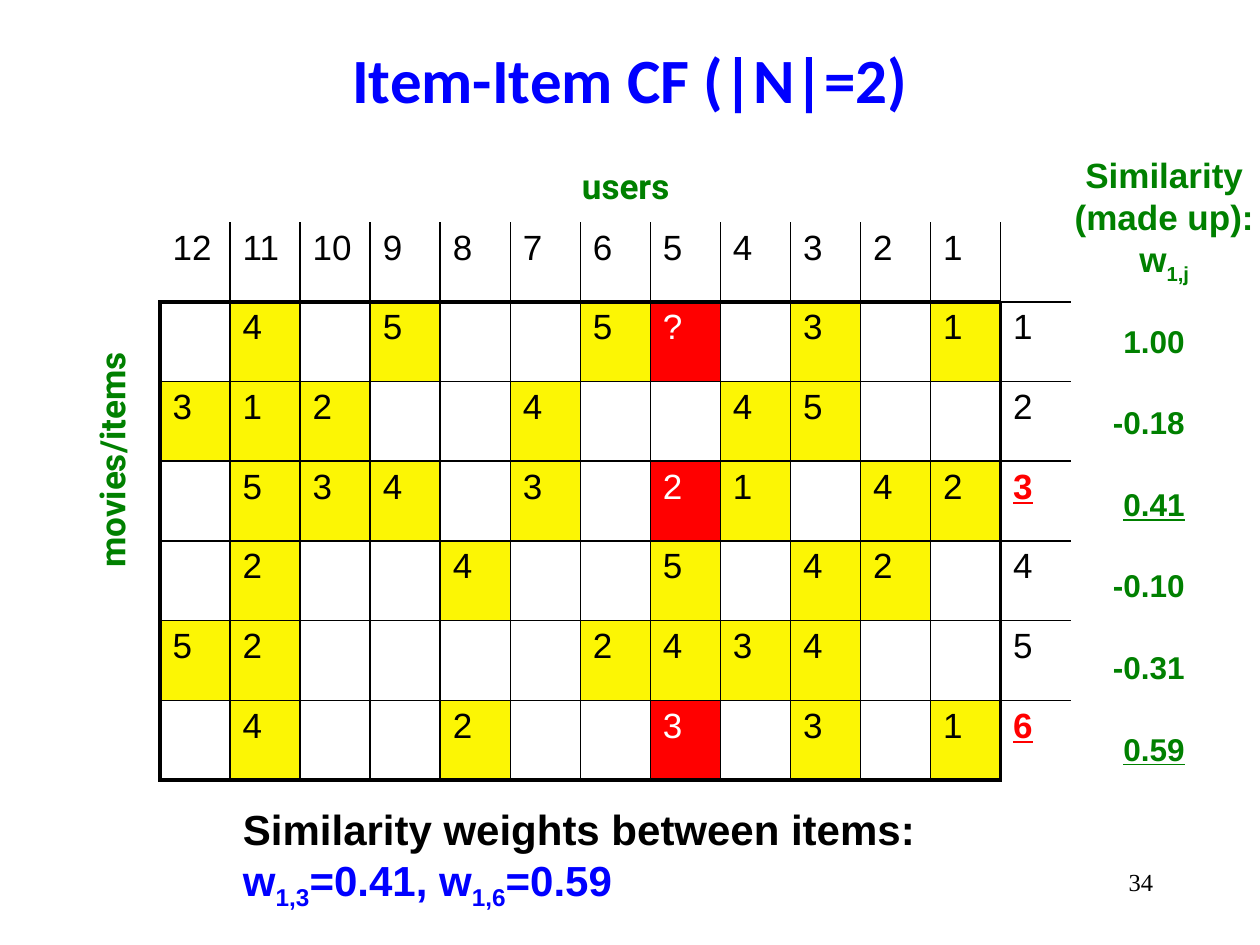
"""Build the item-item collaborative filtering slide."""
from dataclasses import dataclass, field
from typing import Any

from lxml.etree import SubElement
from pptx import Presentation
from pptx.dml.color import RGBColor
from pptx.enum.text import MSO_ANCHOR as Anchor, PP_ALIGN as Align
from pptx.oxml.ns import qn
from pptx.util import Emu, Inches, Pt

WIDTH, HEIGHT = Inches(10), Inches(7.5)
COLUMN, ROW = 0.0556, 0.0844
GRID_LEFT, GRID_TOP = 0.127, 0.235
BLACK, WHITE, BLUE, GREEN, RED, YELLOW = "000000", "FFFFFF", "0000FF", "008000", "FF0000", "FCF604"
THIN, THICK = 1, 2.25
USERS, ITEMS = 12, 6
QUERY_USER = 5
NEIGHBOURS = (3, 6)
RATINGS = (
    ".4.5..5?.3.1",
    "312..4..45..",
    ".534.3.21.42",
    ".2..4..5.42.",
    "52....2434..",
    ".4..2..3.3.1",
)
WEIGHTS = ("1.00", "-0.18", "0.41", "-0.10", "-0.31", "0.59")


@dataclass
class Span:
    """A stretch of text with its own format."""
    text: str
    format: dict[str, Any] = field(default_factory=dict)
    subscript: bool = False


@dataclass
class Label:
    """A text box placed by shares of the slide."""
    box: tuple[float, float, float, float]
    format: dict[str, Any]
    paragraphs: list[list[Span]]
    align: Any = Align.LEFT
    rotation: int = 0
    gap: float = 0


def color(value: str) -> RGBColor:
    """Turn a hex string into a colour."""
    return RGBColor.from_string(value)


def style(name: str, size: float, rgb: str, bold: bool = False, underline: bool = False) -> dict[str, Any]:
    """Collect font values."""
    return {"name": name, "size": Pt(size), "rgb": rgb, "bold": bold, "underline": underline}


def apply_format(font: Any, values: dict[str, Any]) -> None:
    """Set font attributes from a dict."""
    for key, value in values.items():
        if key == "rgb":
            font.color.rgb = color(value)
        else:
            setattr(font, key, value)


def place(shape: Any, box: tuple[float, float, float, float]) -> None:
    """Position a shape by shares of the slide."""
    for key, share, whole in zip(("left", "top", "width", "height"), box, (WIDTH, HEIGHT) * 2):
        setattr(shape, key, Emu(round(share * whole)))


def write(paragraph: Any, spans: list[Span], base: dict[str, Any]) -> None:
    """Fill a paragraph with formatted runs."""
    for span in spans:
        if span.text == "\n":
            paragraph.add_line_break()
            continue
        run = paragraph.add_run()
        run.text = span.text
        apply_format(run.font, base | span.format)
        if span.subscript:
            run._r.get_or_add_rPr().set("baseline", "-25000")


def draw_label(slide: Any, label: Label) -> None:
    """Draw one text box."""
    shape = slide.shapes.add_textbox(0, 0, 0, 0)
    place(shape, label.box)
    shape.rotation = label.rotation
    frame = shape.text_frame
    frame.word_wrap = True
    for index, spans in enumerate(label.paragraphs):
        paragraph = frame.add_paragraph() if index else frame.paragraphs[0]
        paragraph.alignment = label.align
        if index and label.gap:
            paragraph.space_before = Pt(label.gap)
        write(paragraph, spans, label.format)


def vertical_weight(edge: int, row: int) -> float:
    """Give the line width left of column number edge."""
    if edge > USERS or (edge == 0 and row == 0):
        return 0
    return THICK if row and edge in (0, USERS) else THIN


def horizontal_weight(edge: int, column: int) -> float:
    """Give the line width above row number edge."""
    if edge == 0 or (edge > ITEMS and column == USERS):
        return 0
    return THICK if edge in (1, ITEMS + 1) and column < USERS else THIN


def draw_border(cell: Any, side: str, weight: float) -> None:
    """Draw one cell border, or clear it at zero width."""
    line = SubElement(cell._tc.get_or_add_tcPr(), qn(f"a:ln{side}"), w=str(Pt(weight)))
    if weight:
        SubElement(SubElement(line, qn("a:solidFill")), qn("a:srgbClr"), val=BLACK)
    else:
        SubElement(line, qn("a:noFill"))


def cell_look(row: int, column: int) -> tuple[str, str, dict[str, Any]]:
    """Give a cell's text, fill and font values."""
    plain = style("Arial", 20, BLACK)
    if row == 0:
        return (str(USERS - column) if column < USERS else ""), "", plain
    if column == USERS:
        return str(row), "", style("Arial", 20, RED, True, True) if row in NEIGHBOURS else plain
    text = RATINGS[row - 1][column].replace(".", "")
    if text and USERS - column == QUERY_USER and row in (1, *NEIGHBOURS):
        return text, RED, style("Arial", 20, WHITE)
    return text, YELLOW if text else "", plain


def draw_ratings(slide: Any) -> None:
    """Draw the table of ratings."""
    rows, columns = ITEMS + 1, USERS + 1
    shape = slide.shapes.add_table(rows, columns, 0, 0, WIDTH, HEIGHT)
    table = shape.table
    for line in table.columns:
        line.width = Emu(round(COLUMN * WIDTH))
    for line in table.rows:
        line.height = Emu(round(ROW * HEIGHT))
    place(shape, (GRID_LEFT, GRID_TOP, COLUMN * columns, ROW * rows))
    table.first_row = table.horz_banding = False
    for row in range(rows):
        for column in range(columns):
            cell = table.cell(row, column)
            text, fill, values = cell_look(row, column)
            draw_border(cell, "L", vertical_weight(column, row))
            draw_border(cell, "R", vertical_weight(column + 1, row))
            draw_border(cell, "T", horizontal_weight(row, column))
            draw_border(cell, "B", horizontal_weight(row + 1, column))
            if fill:
                cell.fill.solid()
                cell.fill.fore_color.rgb = color(fill)
            else:
                cell.fill.background()
            if text:
                write(cell.text_frame.paragraphs[0], [Span(text)], values)


def main() -> None:
    """Build and save the slide."""
    presentation = Presentation()
    presentation.slide_width, presentation.slide_height = WIDTH, HEIGHT
    slide = presentation.slides.add_slide(presentation.slide_layouts[5])
    title = slide.shapes.title
    place(title, (0.05, 0, 0.9, 1 / 6))
    title.text_frame.vertical_anchor = Anchor.MIDDLE
    title.text_frame.paragraphs[0].alignment = Align.CENTER
    write(title.text_frame.paragraphs[0], [Span("Item-Item CF (|N|=2)")], style("Calibri", 36, BLUE, True))
    draw_ratings(slide)
    axis = style("Roboto", 20, GREEN, True)
    blue = {"rgb": BLUE}
    summary = [Span("Similarity weights between items:"), Span("\n"),
               Span("w", blue), Span("1,3", blue, True), Span("=0.41, w", blue),
               Span("1,6", blue, True), Span("=0.59", blue)]
    weights = [[Span(weight, {"underline": item in NEIGHBOURS})]
               for item, weight in enumerate(WEIGHTS, 1)]
    labels = (
        Label((0.452, 0.167, 0.119, 0.058), axis, [[Span("users")]]),
        Label((0.183, 0.844, 0.598, 0.12), style("Arial", 24, BLACK, True), [summary]),
        Label((0.717, 0.911, 0.208, 0.067), style("Times New Roman", 14, BLACK), [[Span("34")]], Align.RIGHT),
        Label((-0.033, 0.423, 0.243, 0.058), axis, [[Span("movies/items")]], rotation=270),
        Label((0.852, 0.334, 0.098, 0.499), style("Arial", 18, GREEN, True), weights, Align.RIGHT, gap=25),
        Label((0.839, 0.156, 0.17, 0.148), style("Arial", 20, GREEN, True),
              [[Span("Similarity (made up):")], [Span("w"), Span("1,j", subscript=True)]], Align.CENTER),
    )
    for label in labels:
        draw_label(slide, label)
    presentation.save("out.pptx")


if __name__ == "__main__":
    main()
